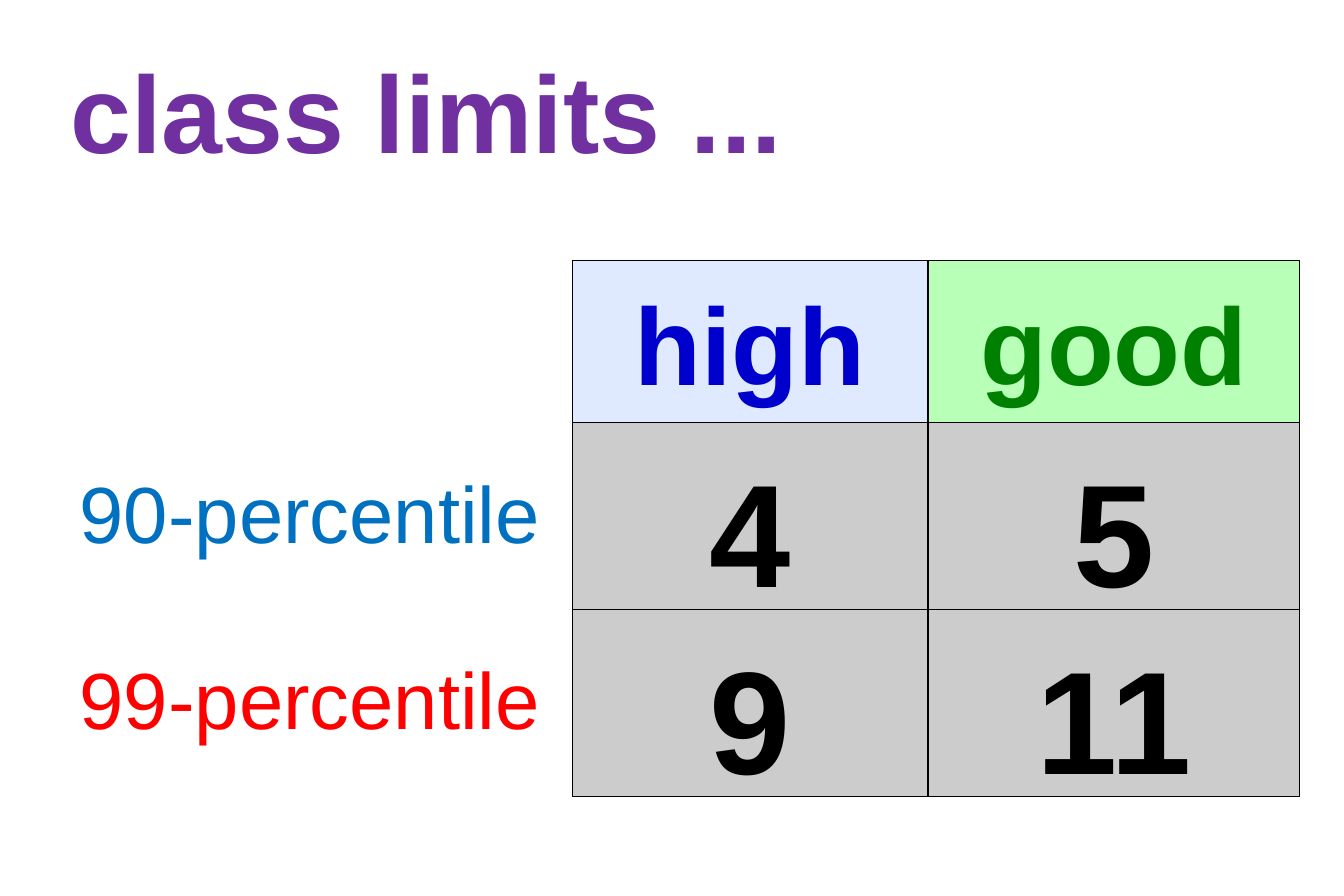
from lxml import etree
from pptx import Presentation
from pptx.dml.color import RGBColor
from pptx.enum import shapes, text
from pptx.oxml import ns
from pptx.util import Emu, Pt

PURPLE = RGBColor(0x70, 0x30, 0xA0)
BLACK = RGBColor(0, 0, 0)
GREY = RGBColor(0xCC, 0xCC, 0xCC)
NAVY = RGBColor(0, 0, 0xCC)
PALE_BLUE = RGBColor(0xDF, 0xE9, 0xFF)
GREEN = RGBColor(0, 0x80, 0)
PALE_GREEN = RGBColor(0xB8, 0xFF, 0xB8)
BLUE = RGBColor(0, 0x70, 0xC0)
RED = RGBColor(0xFF, 0, 0)

HEADING = "class limits ..."
CLASSES = [("high", NAVY, PALE_BLUE), ("good", GREEN, PALE_GREEN)]
LIMITS = [("90-percentile", BLUE, ("4", "5")), ("99-percentile", RED, ("9", "11"))]

PX = 9144
COLUMNS = [(479, 298), (777, 311)]
ROWS = [(218, 136), (354, 156), (510, 157)]
LABEL_LEFT, LABEL_WIDTH, LABEL_DROP = 11, 451, 23


def px(length):
    return Emu(length * PX)


def write(paragraph, words, size, color, bold):
    run = paragraph.add_run()
    run.text = words
    run.font.name = "Arial"
    run.font.size = Pt(size)
    run.font.bold = bold
    run.font.color.rgb = color


def add_heading(slide):
    heading = slide.shapes.title
    heading.left, heading.top, heading.width, heading.height = map(px, (49, 36, 956, 125))
    frame = heading.text_frame
    frame.auto_size = text.MSO_AUTO_SIZE.NONE
    frame.vertical_anchor = text.MSO_ANCHOR.MIDDLE
    paragraph = frame.paragraphs[0]
    paragraph.alignment = text.PP_ALIGN.LEFT
    paragraph.line_spacing = 0.9
    write(paragraph, HEADING, 66, PURPLE, True)


def place_text(holder, words, size, color, top, align, bold=True):
    frame = holder.text_frame
    frame.word_wrap = True
    frame.vertical_anchor = text.MSO_ANCHOR.TOP
    frame.margin_top, frame.margin_bottom = px(top), 0
    paragraph = frame.paragraphs[0]
    paragraph.alignment = align
    write(paragraph, words, size, color, bold)


def add_cell(slide, column, row, words, size, color, background, top):
    (left, width), (upper, height) = column, row
    cell = slide.shapes.add_shape(
        shapes.MSO_SHAPE.RECTANGLE, *map(px, (left, upper, width, height)))
    cell.shadow.inherit = False
    cell.fill.solid()
    cell.fill.fore_color.rgb = background
    cell.line.color.rgb = BLACK
    cell.line.width = Pt(0.75)
    place_text(cell, words, size, color, top, text.PP_ALIGN.CENTER)


def add_label(slide, row, words, color):
    upper, height = row
    label = slide.shapes.add_textbox(
        *map(px, (LABEL_LEFT, upper + LABEL_DROP, LABEL_WIDTH, height)))
    place_text(label, words, 48, color, 11, text.PP_ALIGN.RIGHT, bold=False)


def add_divider(slide):
    left = COLUMNS[1][0]
    top, bottom = ROWS[0][0], sum(ROWS[-1])
    divider = slide.shapes.add_connector(
        shapes.MSO_CONNECTOR.STRAIGHT, *map(px, (left, top, left, bottom)))
    divider.line.color.rgb = BLACK
    divider.line.width = Pt(1)
    etree.SubElement(divider._element.spPr, ns.qn("a:effectLst"))


def main():
    deck = Presentation()
    deck.slide_width, deck.slide_height = px(1125), px(750)
    slide = deck.slides.add_slide(deck.slide_layouts[5])
    add_heading(slide)
    for column, (name, color, background) in zip(COLUMNS, CLASSES):
        add_cell(slide, column, ROWS[0], name, 66, color, background, 13)
    for row, (label, color, values) in zip(ROWS[1:], LIMITS):
        add_label(slide, row, label, color)
        for column, value in zip(COLUMNS, values):
            add_cell(slide, column, row, value, 88, BLACK, GREY, 16)
    add_divider(slide)
    deck.save("out.pptx")


if __name__ == "__main__":
    main()
